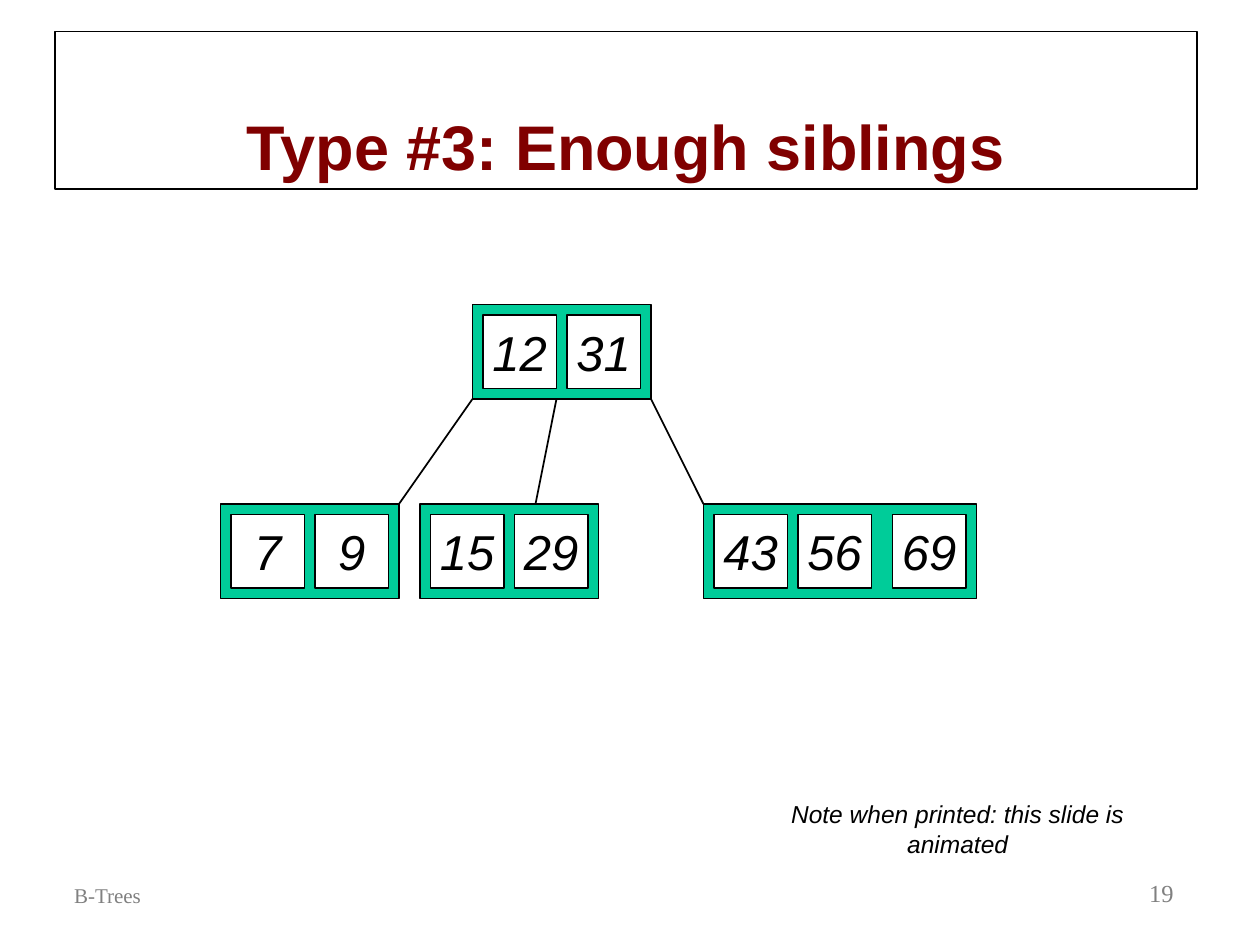
from dataclasses import dataclass
from lxml.etree import SubElement
from pptx import Presentation
from pptx.dml.color import RGBColor
from pptx.enum.shapes import MSO_CONNECTOR, MSO_SHAPE
from pptx.enum.text import MSO_ANCHOR, PP_ALIGN
from pptx.oxml.ns import qn
from pptx.util import Pt


@dataclass(frozen=True)
class Theme:
    """Colours, fonts and sizes of the slide, and the tree's measures."""
    ink: str = "000000"
    paper: str = "FFFFFF"
    node: str = "00CC99"
    head: str = "800000"
    grey: str = "808080"
    sans: str = "Arial"
    serif: str = "Times New Roman"
    title: int = 36
    key: int = 28
    note: int = 14
    foot: int = 12
    cell: int = 42
    pad: int = 6


THEME = Theme()


def add_rect(slide, box, fill=None, width=1):
    """Add an outlined rectangle, filled if a colour is given."""
    rect = slide.shapes.add_shape(MSO_SHAPE.RECTANGLE, *map(Pt, box))
    rect.shadow.inherit = False
    if fill:
        rect.fill.solid()
        rect.fill.fore_color.rgb = RGBColor.from_string(fill)
    else:
        rect.fill.background()
    rect.line.color.rgb = RGBColor.from_string(THEME.ink)
    rect.line.width = Pt(width)
    return rect


def write(shape, text, size, color=THEME.ink, face=THEME.sans, bold=False,
          slant=False, align=PP_ALIGN.CENTER, anchor=MSO_ANCHOR.MIDDLE, wrap=True):
    """Write one styled run into a shape."""
    frame = shape.text_frame
    frame.word_wrap = wrap
    frame.vertical_anchor = anchor
    para = frame.paragraphs[0]
    para.alignment = align
    run = para.add_run()
    run.text = text
    font = run.font
    font.name, font.size = face, Pt(size)
    font.bold, font.italic = bold, slant
    font.color.rgb = RGBColor.from_string(color)


def add_title(slide, box, text):
    """Add the framed slide title."""
    write(add_rect(slide, box, width=0.75), text, THEME.title, THEME.head,
          bold=True, anchor=MSO_ANCHOR.BOTTOM)


def add_node(slide, left, top, keys, gaps):
    """Add a tree node with its keys, parted by the given gaps."""
    cell, pad = THEME.cell, THEME.pad
    width = 2 * pad + len(keys) * cell + sum(gaps)
    add_rect(slide, (left, top, width, cell + 2 * pad), THEME.node)
    for i, key in enumerate(keys):
        x = left + pad + i * cell + sum(gaps[:i])
        rect = add_rect(slide, (x, top + pad, cell, cell), THEME.paper)
        write(rect, str(key), THEME.key, slant=True, wrap=False)


def add_edge(slide, start, end):
    """Add a plain line between two points."""
    edge = slide.shapes.add_connector(MSO_CONNECTOR.STRAIGHT, *map(Pt, start + end))
    edge.line.color.rgb = RGBColor.from_string(THEME.ink)
    edge.line.width = Pt(1)
    SubElement(edge.element.spPr, qn("a:effectLst"))


def add_tree(slide, box):
    """Add the root, its three leaves and the edges between them."""
    left, top, _, height = box
    node = THEME.cell + 2 * THEME.pad
    root, low = left + 144, top + height - node
    add_node(slide, root, top, (12, 31), (6,))
    leaves = ((0, (7, 9), (6,)), (114, (15, 29), (6,)), (276, (43, 56, 69), (6, 12)))
    for shift, keys, gaps in leaves:
        add_node(slide, left + shift, low, keys, gaps)
    for start, end in ((0, 102), (48, 180), (102, 276)):
        add_edge(slide, (root + start, top + node), (left + end, low))


def add_note(slide, box, text):
    """Add the centred remark below the tree."""
    note = slide.shapes.add_textbox(*map(Pt, box))
    note.text_frame.margin_top = note.text_frame.margin_bottom = Pt(0)
    write(note, text, THEME.note, slant=True)


def add_footer(slide, box, topic, page):
    """Add the topic at the left and the page number at the right."""
    left, top, width, height = box
    parts = ((left, 216, topic, THEME.foot, PP_ALIGN.LEFT),
             (left + width - 150, 150, page, THEME.note, PP_ALIGN.RIGHT))
    for x, wide, text, size, align in parts:
        area = slide.shapes.add_textbox(Pt(x), Pt(top), Pt(wide), Pt(height))
        write(area, text, size, THEME.grey, THEME.serif,
              align=align, anchor=MSO_ANCHOR.BOTTOM)


def main():
    """Build the slide and save it."""
    deck = Presentation()
    deck.slide_width, deck.slide_height = Pt(720), Pt(540)
    slide = deck.slides.add_slide(deck.slide_layouts[6])
    add_footer(slide, (35.25, 486, 642.5, 36), "B-Trees", "19")
    add_title(slide, (31.5, 18, 652.5, 90), "Type #3: Enough siblings")
    add_tree(slide, (126, 174, 432, 168))
    add_note(slide, (414.75, 461.5, 265, 24), "Note when printed: this slide is animated")
    deck.save("out.pptx")


if __name__ == "__main__":
    main()
